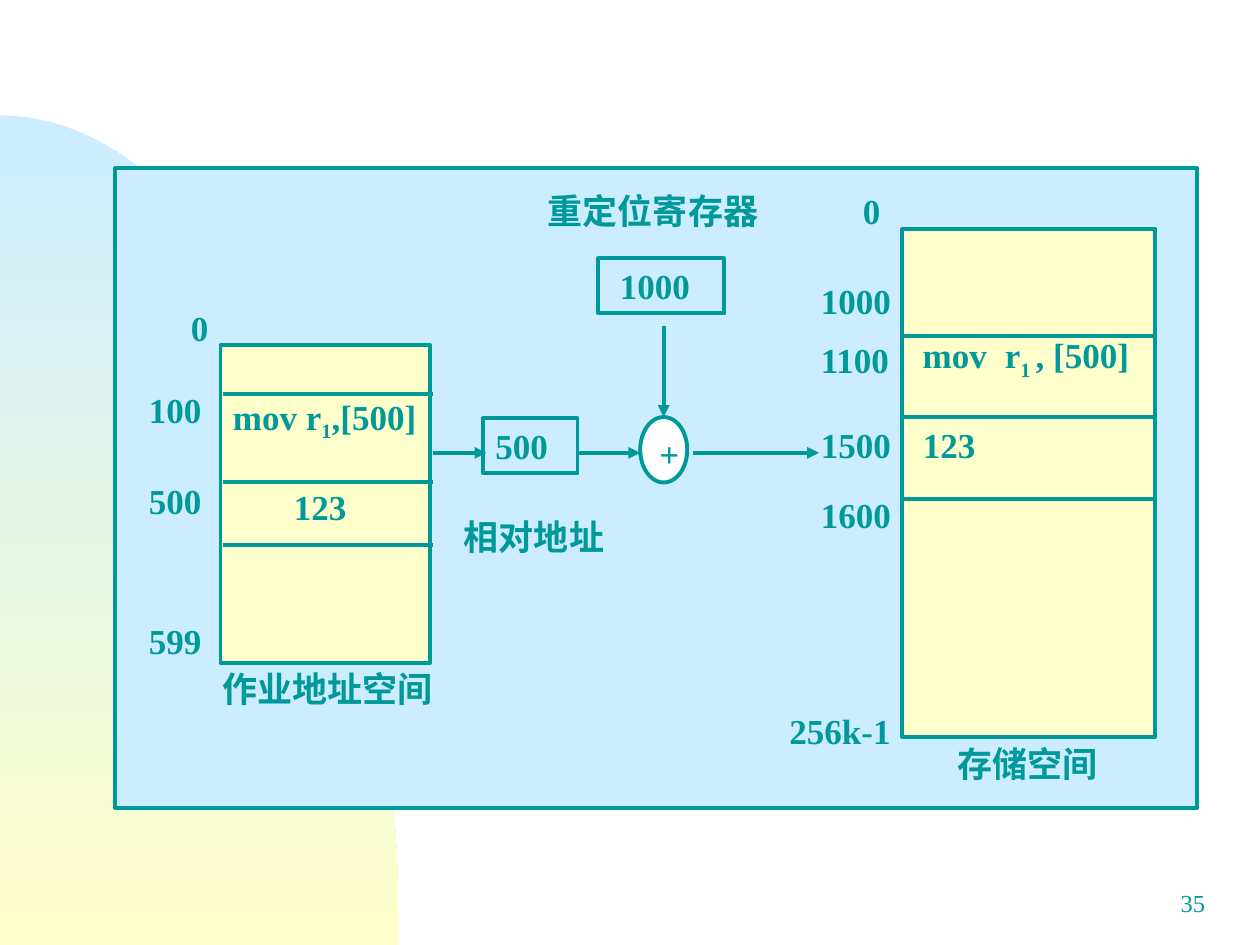
from lxml.etree import SubElement
from pptx import Presentation
from pptx.dml.color import RGBColor
from pptx.enum.shapes import MSO_CONNECTOR as CONN, MSO_SHAPE as SHAPE
from pptx.enum.text import MSO_ANCHOR as ANCHOR, PP_ALIGN as ALIGN
from pptx.oxml.ns import qn
from pptx.util import Pt

COLORS = {"teal": "009999", "sky": "CCECFF", "cream": "FFFFCC", "white": "FFFFFF"}
FONT = "Times New Roman"
LINE_W = 2.25
LABEL_H = 31.5


def rgb(name):
    return RGBColor.from_string(COLORS[name])


def style_runs(p, size=20, bold=True):
    for r in p.runs:
        r.font.name = FONT
        r.font.size = Pt(size)
        r.font.bold = bold
        r.font.color.rgb = rgb("teal")


def add_label(s, text, x, y, w, h=LABEL_H, size=20, bold=True, align=ALIGN.LEFT):
    tf = s.shapes.add_textbox(Pt(x), Pt(y), Pt(w), Pt(h)).text_frame
    tf.word_wrap = True
    p = tf.paragraphs[0]
    p.text = text
    p.alignment = align
    style_runs(p, size, bold)
    return p


def add_instruction(s, parts, x, y, w, tab=None):
    """One line of code; the second part is set as a subscript."""
    p = add_label(s, parts[0], x, y, w)
    if tab:
        tabs = SubElement(p._p.get_or_add_pPr(), qn("a:tabLst"))
        SubElement(tabs, qn("a:tab"), pos=str(Pt(tab)), algn="l")
    for part in parts[1:]:
        p.add_run().text = part
    style_runs(p)
    p.runs[1]._r.get_or_add_rPr().set("baseline", "-25000")


def add_box(s, x, y, w, h, fill=None, text="", kind=SHAPE.RECTANGLE, indent=7.2):
    sp = s.shapes.add_shape(kind, Pt(x), Pt(y), Pt(w), Pt(h))
    sp.shadow.inherit = False
    if fill:
        sp.fill.solid()
        sp.fill.fore_color.rgb = rgb(fill)
    else:
        sp.fill.background()
    sp.line.color.rgb = rgb("teal")
    sp.line.width = Pt(LINE_W)
    if text:
        tf = sp.text_frame
        tf.vertical_anchor = ANCHOR.TOP
        tf.margin_left = Pt(indent)
        p = tf.paragraphs[0]
        p.text = text
        p.alignment = ALIGN.LEFT
        style_runs(p)
    return sp


def add_line(s, x1, y1, x2, y2, arrow=False):
    c = s.shapes.add_connector(CONN.STRAIGHT, Pt(x1), Pt(y1), Pt(x2), Pt(y2))
    c.line.color.rgb = rgb("teal")
    c.line.width = Pt(LINE_W)
    if arrow:
        SubElement(c.line._get_or_add_ln(), qn("a:tailEnd"), type="triangle")
    SubElement(c._element.spPr, qn("a:effectLst"))
    return c


def add_backdrop(s, top=66, w=228, h=474, steps=60):
    """Quarter dome in the lower left corner, sampled from a Bezier curve."""
    xs, ys = (0, 0.552 * w, w, w), (top, top, top + 0.448 * h, top + h)

    def bezier(c, t):
        u = 1 - t
        return u**3 * c[0] + 3 * u * u * t * c[1] + 3 * u * t * t * c[2] + t**3 * c[3]

    points = [(Pt(bezier(xs, i / steps)), Pt(bezier(ys, i / steps)))
              for i in range(1, steps + 1)]
    fb = s.shapes.build_freeform(0, Pt(top))
    fb.add_line_segments(points + [(0, Pt(top + h))], close=True)
    sp = fb.convert_to_shape()
    sp.shadow.inherit = False
    sp.line.fill.background()
    sp.fill.gradient()
    sp.fill.gradient_angle = 270
    for stop, name, pos in zip(sp.fill.gradient_stops, ("sky", "cream"), (0, 1)):
        stop.color.rgb = rgb(name)
        stop.position = pos


def add_memory(s, x, y, w, h, dividers, line_x):
    add_box(s, x, y, w, h, "cream")
    for line_y in dividers:
        add_line(s, line_x, line_y, line_x + w, line_y)


def main():
    prs = Presentation()
    prs.slide_width, prs.slide_height = Pt(720), Pt(540)
    s = prs.slides.add_slide(prs.slide_layouts[6])

    # Background, page number and panel
    add_backdrop(s)
    add_label(s, "35", 545.8, 504, 150, 36, size=14, bold=False, align=ALIGN.RIGHT)
    add_box(s, 66, 96, 618, 366, "sky")

    # Job address space
    add_memory(s, 126, 197.3, 120, 181.4, (225.3, 275.6, 311.6), 127.6)
    add_instruction(s, ("mov r", "1", ",[500]"), 126, 222.2, 130)
    add_label(s, "123", 160.8, 273.6, 60)
    add_label(s, "0", 102, 171.4, 30)
    for text, y in (("100", 218.2), ("500", 270.7), ("599", 350.6)):
        add_label(s, text, 78, y, 48)
    add_label(s, "作业地址空间", 120, 378, 144)

    # Main memory
    add_memory(s, 515.5, 131, 144.5, 290.2, (192, 238.3, 285), 515.5)
    add_instruction(s, ("mov\tr", "1 ", ", [500]"), 520.2, 187.2, 139, tab=46.9)
    add_label(s, "123", 520.2, 238.3, 60)
    add_label(s, "0", 486, 105, 30)
    for text, y in (("1000", 156.3), ("1100", 190), ("1500", 238.3), ("1600", 278.6)):
        add_label(s, text, 462, y, 72)
    add_label(s, "256k-1", 444, 401.8, 78)
    add_label(s, "存储空间", 540, 420.5, 108)

    # Relocation register, relative address and adder
    add_label(s, "重定位寄存器", 306, 105, 144)
    add_box(s, 342, 147.6, 72, LABEL_H, text="1000", indent=12.2)
    add_box(s, 276, 239, 54, LABEL_H, text="500")
    add_label(s, "相对地址", 258, 291, 96)
    adder = add_box(s, 365.8, 238.3, 26.9, 37.4, "white", "+", SHAPE.OVAL)

    # Address flow
    for x1, x2 in ((247.7, 277.9), (330, 365.8), (396, 468)):
        add_line(s, x1, 258.8, x2, 258.8, arrow=True)
    add_line(s, 379.25, 186.5, 379.25, 238.3, arrow=True).end_connect(adder, 0)

    prs.save("out.pptx")


if __name__ == "__main__":
    main()
